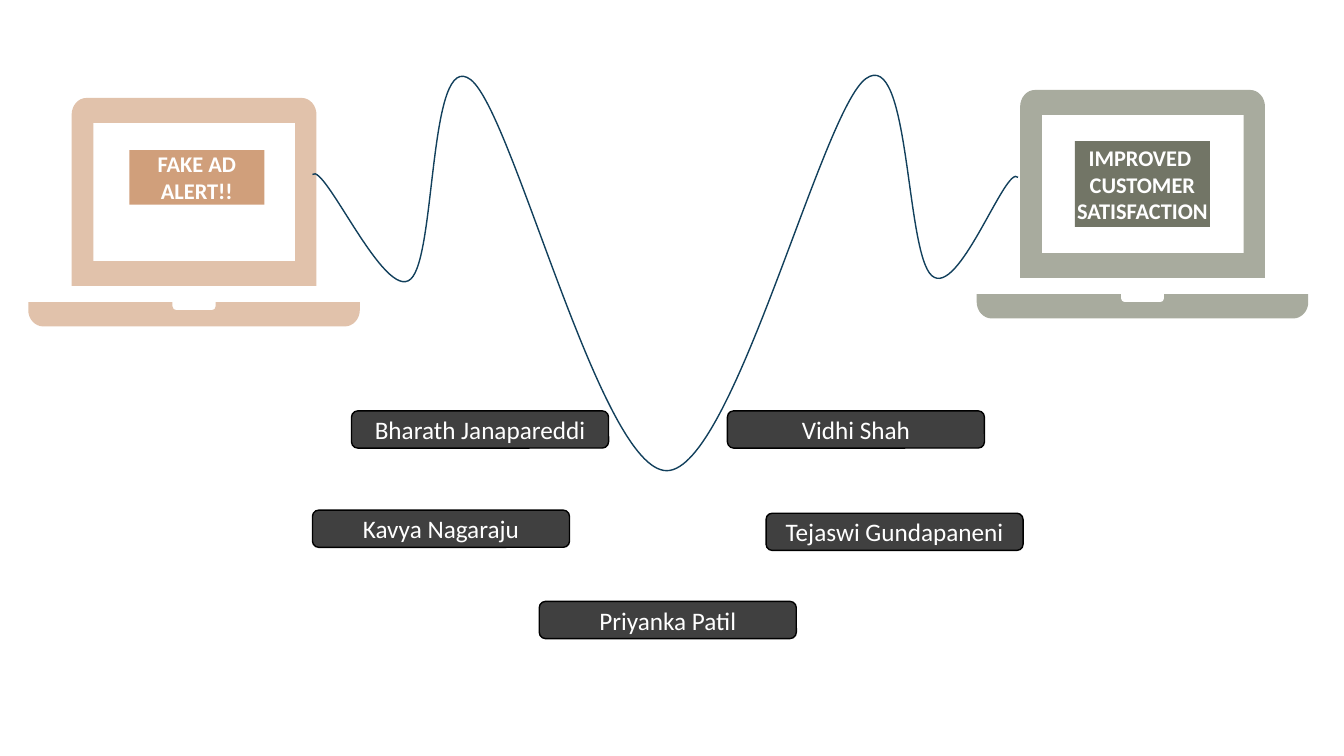
from dataclasses import dataclass

from lxml.etree import SubElement
from pptx import Presentation
from pptx.dml.color import RGBColor
from pptx.enum.shapes import MSO_SHAPE as Shape
from pptx.enum.text import MSO_ANCHOR as Anchor, PP_ALIGN as Align
from pptx.oxml.ns import qn
from pptx.util import Pt


@dataclass(frozen=True)
class Theme:
    font: str = "Calibri"
    label_size: int = 16
    name_size: int = 18
    line_width: int = 1
    white: str = "FFFFFF"
    black: str = "000000"
    name_fill: str = "404040"
    wave: str = "12405C"
    alert: str = "D09F7B"
    alert_laptop: str = "E1C2AB"
    success: str = "727566"
    success_laptop: str = "A8AB9E"


def corner(start, tip, end):
    """Line to start, then a quarter-ellipse curve that rounds off tip."""
    c1, c2 = (tuple(a + 0.55 * (b - a) for a, b in zip(q, tip)) for q in (start, end))
    return [(start,), (c1, c2, end)]


class SlideBuilder:
    def __init__(self, slide, theme):
        self.slide = slide
        self.theme = theme

    def paint(self, sp, fill=None, line=None):
        sp.shadow.inherit = False
        if fill:
            sp.fill.solid()
            sp.fill.fore_color.rgb = RGBColor.from_string(fill)
        else:
            sp.fill.background()
        if line:
            sp.line.color.rgb = RGBColor.from_string(line)
            sp.line.width = Pt(self.theme.line_width)
        else:
            sp.line.fill.background()

    def text_shape(self, kind, box, text, size, fill, line=None):
        sp = self.slide.shapes.add_shape(kind, *map(Pt, box))
        self.paint(sp, fill, line)
        tf = sp.text_frame
        tf.word_wrap = True
        tf.vertical_anchor = Anchor.MIDDLE
        p = tf.paragraphs[0]
        p.text = text
        p.alignment = Align.CENTER
        p.font.name = self.theme.font
        p.font.size = Pt(size)
        p.font.color.rgb = RGBColor.from_string(self.theme.white)
        return sp

    def label(self, box, text, fill):
        sp = self.text_shape(Shape.RECTANGLE, box, text, self.theme.label_size, fill)
        tf = sp.text_frame
        tf.margin_left = tf.margin_right = tf.margin_top = tf.margin_bottom = 0
        tf.paragraphs[0].font.bold = True

    def name(self, left, top, text):
        self.text_shape(Shape.ROUNDED_RECTANGLE, (left, top, 183.6, 26.6), text,
                        self.theme.name_size, self.theme.name_fill, self.theme.black)

    def outline(self, box, contours, fill=None, line=None):
        """Freeform whose contours, relative to box, are lists of steps.

        The first step is the start; a step of one point is a line and a step
        of three points is a cubic curve. A filled outline is closed.
        """
        x, y, w, h = map(Pt, box)
        builder = self.slide.shapes.build_freeform(x, y)
        builder.add_line_segments([(x + w, y), (x + w, y + h), (x, y + h)])
        sp = builder.convert_to_shape()
        self.paint(sp, fill, line)

        track = sp._element.find(".//" + qn("a:path"))
        for child in list(track):
            track.remove(child)
        for contour in contours:
            for i, step in enumerate(contour):
                tag = "a:moveTo" if i == 0 else "a:lnTo" if len(step) == 1 else "a:cubicBezTo"
                command = SubElement(track, qn(tag))
                for px, py in step:
                    SubElement(command, qn("a:pt"), x=str(Pt(px)), y=str(Pt(py)))
            if fill:
                SubElement(track, qn("a:close"))

    def laptop(self, left, top, fill):
        w, h = 174.9, 134.2
        frame = [((0, h),),
                 *corner((0, 12), (0, 0), (10.5, 0)),
                 *corner((w - 10.5, 0), (w, 0), (w, 12)),
                 ((w, h),)]
        window = [((159.6, 116.6),), ((15.6, 116.6),), ((15.6, 17.8),), ((159.6, 17.8),)]
        self.outline((left + 31, top, w, h), [frame, window], fill)

        w, h = 236.8, 17.4
        n1, n2, depth = 103, 133.9, 5.8
        base = [((n2, 0),),
                *corner((n2, depth - 2.8), (n2, depth), (n2 - 2.8, depth)),
                *corner((n1 + 2.8, depth), (n1, depth), (n1, depth - 2.8)),
                ((n1, 0),), ((0, 0),),
                *corner((0, 5.8), (0, h), (10.8, h)),
                *corner((w - 10.8, h), (w, h), (w, 5.8)),
                ((w, 0),)]
        self.outline((left, top + 145.8, w, h), [base], fill)

    def wave(self, box, points):
        """Open curve through every third of the given slide points."""
        left, top = box[:2]
        start, *rest = [(x - left, y - top) for x, y in points]
        curves = [rest[i:i + 3] for i in range(0, len(rest), 3)]
        self.outline(box, [[(start,), *curves]], line=self.theme.wave)


def main():
    prs = Presentation()
    prs.slide_width, prs.slide_height = Pt(960), Pt(540)
    theme = Theme()
    s = SlideBuilder(prs.slides.add_slide(prs.slide_layouts[6]), theme)

    s.label((92.4, 107.3, 96.5, 38.9), "FAKE AD ALERT!!", theme.alert)
    s.label((767.8, 100.8, 96.5, 61.4), "IMPROVED \nCUSTOMER\nSATISFACTION", theme.success)
    s.laptop(697.7, 64.3, theme.success_laptop)
    s.laptop(20.2, 70, theme.alert_laptop)

    for left, top, text in (
        (251.1, 293.5, "Bharath Janapareddi"),
        (223.2, 364.4, "Kavya Nagaraju"),
        (385.2, 429.6, "Priyanka Patil"),
        (519.6, 293.5, "Vidhi Shah"),
        (547.2, 366.6, "Tejaswi Gundapaneni"),
    ):
        s.name(left, top, text)

    s.wave((223.2, 53.9, 504, 282.3), [
        (223.2, 124.6),
        (231.8, 115.9), (275, 216), (293.4, 199.4),
        (311.8, 182.9), (306, 33.8), (336.2, 56.9),
        (366.5, 79.9), (429.1, 336.2), (476.3, 336.2),
        (523.4, 336.2), (586.8, 79.2), (618.5, 56.2),
        (650.2, 33.1), (646.6, 180), (665.6, 196.9),
        (684.7, 213.8), (718.6, 116.6), (727.2, 126.7),
    ])
    prs.save("out.pptx")


if __name__ == "__main__":
    main()
